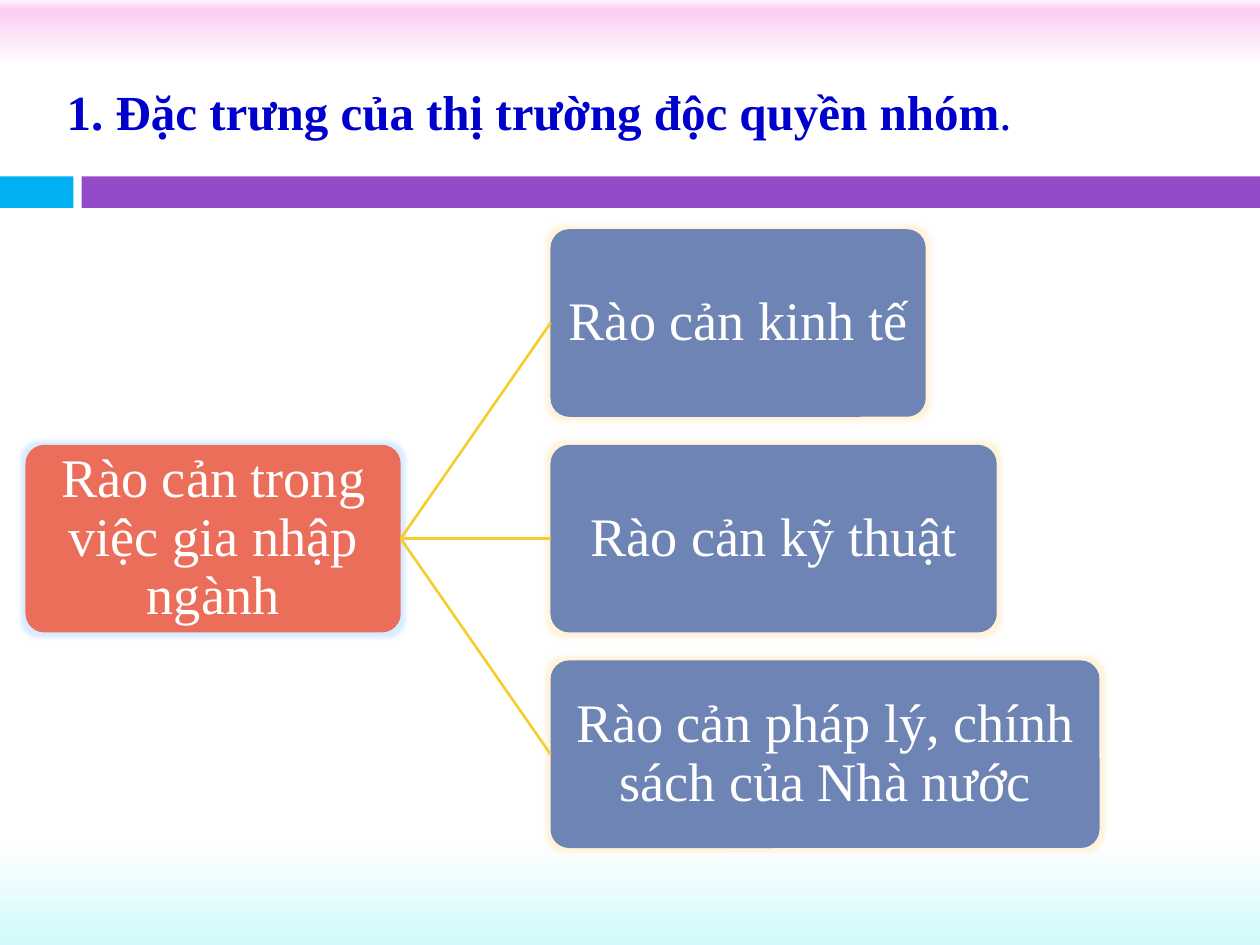
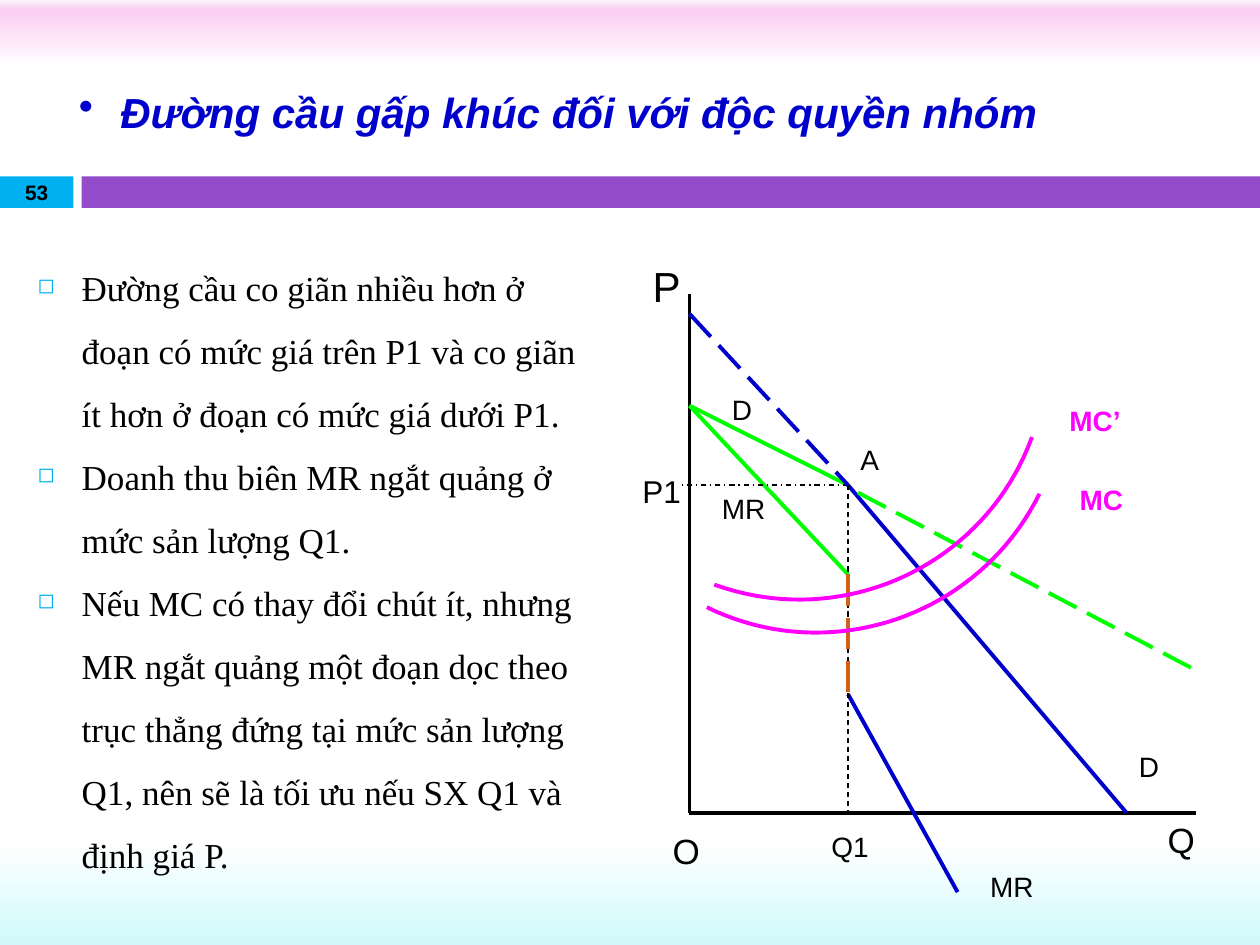
import pptx
import pptx.util
import pptx.dml.color
import pptx.enum.dml
import pptx.enum.shapes
import pptx.enum.text
import pptx.oxml
import pptx.oxml.ns

Pt = pptx.util.Pt
DASH = pptx.enum.dml.MSO_LINE
SHAPE = pptx.enum.shapes.MSO_SHAPE
ALIGN = pptx.enum.text.PP_ALIGN
MIDDLE = pptx.enum.text.MSO_ANCHOR.MIDDLE
STRAIGHT = pptx.enum.shapes.MSO_CONNECTOR.STRAIGHT

SERIF, SANS = "Times New Roman", "Arial"
COLORS = {
    "white": "FFFFFF", "black": "000000", "navy": "0000CC",
    "cyan": "00B0F0", "purple": "934BC9", "coral": "EB6E5A",
    "slate": "6E84B4", "gold": "F5CD2D", "green": "00FF00",
    "pink": "FF00FF", "rust": "D2611C", "cream": "FFF3DC", "ice": "D8ECFF",
}
SKY = [(0, "FAF6FC"), (1, "FBCDF1"), (7, "FFFFFF"), (89, "FFFFFF"), (100, "D1F9FB")]


def rgb(name):
    return pptx.dml.color.RGBColor.from_string(COLORS[name])


def add_xml(parent, xml):
    """Append a DrawingML element to parent."""
    space = pptx.oxml.ns.nsdecls("a")
    tag, rest = xml.split(" ", 1)
    parent.append(pptx.oxml.parse_xml(f"{tag} {space} {rest}"))


def style(para, face, size, color="black", bold=None, align=None):
    font = para.font
    font.name, font.size, font.bold = face, Pt(size), bold
    font.color.rgb = rgb(color)
    para.alignment = align


def bullet(para, char, hang, color=None, scale=100):
    props = para._p.get_or_add_pPr()
    props.set("marL", str(Pt(hang)))
    props.set("indent", str(-Pt(hang)))
    if color:
        add_xml(props, f'<a:buClr ><a:srgbClr val="{COLORS[color]}"/></a:buClr>')
    add_xml(props, f'<a:buSzPct val="{scale * 1000}"/>')
    add_xml(props, f'<a:buChar char="{char}"/>')


def text_box(slide, box, text=""):
    frame = slide.shapes.add_textbox(*map(Pt, box)).text_frame
    frame.word_wrap = True
    frame.text = text
    return frame


def block(slide, kind, box, color):
    shape = slide.shapes.add_shape(kind, *map(Pt, box))
    shape.shadow.inherit = False
    shape.fill.solid()
    shape.fill.fore_color.rgb = rgb(color)
    shape.line.fill.background()
    return shape


def line(slide, start, end, color, width=2.25, dash=None):
    link = slide.shapes.add_connector(STRAIGHT, *map(Pt, start + end))
    link.line.color.rgb = rgb(color)
    link.line.width = Pt(width)
    link.line.dash_style = dash
    add_xml(link._element.spPr, "<a:effectLst />")
    return link


# Shared background and bands
def paint(master):
    fill = master.background.fill
    fill.gradient()
    fill.gradient_angle = 270
    stops = fill._fill._gradFill.gsLst
    for stop in list(stops):
        stops.remove(stop)
    for pos, color in SKY:
        add_xml(stops, f'<a:gs pos="{pos * 1000}"><a:srgbClr val="{color}"/></a:gs>')


def bands(slide, box, number=""):
    x, y, w, h = box
    block(slide, SHAPE.RECTANGLE, box, "white")
    block(slide, SHAPE.RECTANGLE, (x, y + 3.6, 42, h - 7.2), "cyan")
    block(slide, SHAPE.RECTANGLE, (x + 46.6, y + 3.6, w - 46.6, h - 7.2), "purple")
    if number:
        frame = text_box(slide, (x, y + 3, 42, 19.4), number)
        frame.vertical_anchor = MIDDLE
        style(frame.paragraphs[0], SANS, 11.9, bold=True, align=ALIGN.CENTER)


# Slide 1: tree of entry barriers
def tree_title(slide, box):
    para = text_box(slide, box).paragraphs[0]
    style(para, SERIF, 28, "navy")
    para.space_before = Pt(7)
    for text, bold in (("1. Đặc trưng của thị trường độc quyền nhóm", True), (".", False)):
        run = para.add_run()
        run.text, run.font.bold = text, bold


def node(slide, box, text, color, glow):
    shape = block(slide, SHAPE.ROUNDED_RECTANGLE, box, color)
    shape.adjustments[0] = 0.1
    halo = shape._element.spPr.find(pptx.oxml.ns.qn("a:effectLst"))
    add_xml(halo, f'<a:glow rad="{Pt(5)}"><a:srgbClr val="{COLORS[glow]}"/></a:glow>')
    frame = shape.text_frame
    frame.word_wrap = True
    frame.vertical_anchor = MIDDLE
    frame.margin_left = frame.margin_right = Pt(1.5)
    frame.margin_top = frame.margin_bottom = Pt(1.5)
    frame.text = text
    para = frame.paragraphs[0]
    style(para, SERIF, 31, "white", align=ALIGN.CENTER)
    para.line_spacing = 0.9
    return shape


def tree(slide, box):
    x, y, w, h = box
    tall = 107.2
    step = (h - tall) / 2
    root = node(slide, (x, y + step, 214.4, tall),
                "Rào cản trong việc gia nhập ngành", "coral", "ice")
    leaves = [("Rào cản kinh tế", 214.4), ("Rào cản kỹ thuật", 255),
              ("Rào cản pháp lý, chính sách của Nhà nước", 313.7)]
    for i, (text, wide) in enumerate(leaves):
        leaf = node(slide, (x + 300, y + i * step, wide, tall), text, "slate", "cream")
        link = line(slide, (0, 0), (0, 0), "gold", 1.5)
        link.begin_connect(root, 3)
        link.end_connect(leaf, 1)


# Slide 2: kinked demand curve
def kink_title(slide, box):
    para = text_box(slide, box, " Đường cầu gấp khúc đối với độc quyền nhóm").paragraphs[0]
    style(para, SANS, 24, "navy", True, ALIGN.CENTER)
    para.font.italic = True
    bullet(para, "•", 17)


def notes(slide, box):
    points = [
        "Đường cầu co giãn nhiều hơn ở đoạn có mức giá trên P1 và co giãn ít hơn ở đoạn "
        "có mức giá dưới P1.",
        "Doanh thu biên MR ngắt quảng ở mức sản lượng Q1.",
        "Nếu MC có thay đổi chút ít, nhưng MR ngắt quảng một đoạn dọc theo trục thẳng đứng "
        "tại mức sản lượng Q1, nên sẽ là tối ưu nếu SX Q1 và định giá P.",
    ]
    for para in (frame := text_box(slide, box, "\n".join(points))).paragraphs:
        style(para, SERIF, 20)
        para.line_spacing = Pt(36)
        bullet(para, "◻", 25.2, "cyan", 60)


def curve(slide, knots, color):
    """Draw a cubic Bezier through its four control points."""
    count = 40
    points = []
    for i in range(count + 1):
        t = i / count
        parts = ((1 - t) ** 3, 3 * t * (1 - t) ** 2, 3 * t * t * (1 - t), t ** 3)
        points.append(tuple(Pt(sum(k * p[a] for k, p in zip(parts, knots))) for a in (0, 1)))
    path = slide.shapes.build_freeform(*points[0])
    path.add_line_segments(points[1:], close=False)
    shape = path.convert_to_shape()
    shape.shadow.inherit = False
    shape.fill.background()
    shape.line.color.rgb = rgb(color)
    shape.line.width = Pt(2.25)


def graph(slide, box):
    left, top, right, base = 34, 24, box[2], 320.4
    mid, price = 124.6, 133.2
    kink, gap, low = (mid, price), (mid, 184.3), (mid, 252.7)
    start = (left, 87.8)

    def at(point):
        return box[0] + point[0], box[1] + point[1]

    lines = [
        ((left, top), (left, base), "black"),
        ((left, base), (right, base), "black"),
        (start, kink, "green"),
        (kink, (283.7, base), "navy"),
        (start, gap, "green"),
        (low, (187.2, 365.8), "navy"),
        (kink, (mid, base), "black", 0.75, DASH.DASH),
        (kink, (28, price), "black", 0.75, DASH.DASH_DOT),
        (gap, low, "rust", 2.25, DASH.LONG_DASH),
        ((left, 35.3), kink, "navy", 2.25, DASH.LONG_DASH),
        ((130.3, 137.5), (right, 239), "green", 2.25, DASH.LONG_DASH),
    ]
    for begin, end, *look in lines:
        line(slide, at(begin), at(end), *look)

    # Marginal cost curves
    for knots in (
        [(43.9, 203), (114.5, 237.6), (199.4, 208.1), (234, 138.2)],
        [(48.2, 190.1), (121.7, 216.7), (203, 179.3), (229.7, 105.8)],
    ):
        curve(slide, [at(knot) for knot in knots], "pink")

    # Labels: text, left, top, width, size, colour, bold
    labels = [
        ("MC", 249.8, 128.2, 40, 16, "pink", True),
        ("MC’", 244, 82.8, 51, 16, "pink", True),
        ("D", 283.7, 280.8, 45, 16),
        ("D", 51.1, 77, 45, 16),
        ("MR", 45.4, 133.2, 45, 16),
        ("MR", 198.7, 349.2, 57, 16),
        ("A", 124.6, 105.1, 28, 16),
        ("Q1", 108, 326.2, 40, 16),
        ("P1", 0, 122.4, 40, 18),
        ("Q", 300.2, 320.4, 59.8, 20),
        ("O", 17.3, 326.2, 60, 20),
        ("P", 5.8, 1.4, 28, 24),
    ]
    for text, x, y, w, size, *look in labels:
        frame = text_box(slide, at((x, y)) + (w, size * 1.2 + 7.2), text)
        style(frame.paragraphs[0], SANS, size, *look)


def main():
    deck = pptx.Presentation()
    deck.slide_width, deck.slide_height = Pt(720), Pt(540)
    paint(deck.slide_master)
    blank = deck.slide_layouts[6]
    strip = (0, 97.2, 720, 25.2)

    slide = deck.slides.add_slide(blank)
    bands(slide, strip)
    tree_title(slide, (31, 43.2, 648, 53.3))
    tree(slide, (14.6, 131, 613.7, 353.6))

    slide = deck.slides.add_slide(blank)
    bands(slide, strip, "53")
    kink_title(slide, (18, 46, 602, 36))
    notes(slide, (14.4, 136.8, 334.8, 372.2))
    graph(slide, (360, 144, 323.3, 366))

    deck.save("out.pptx")


if __name__ == "__main__":
    main()
